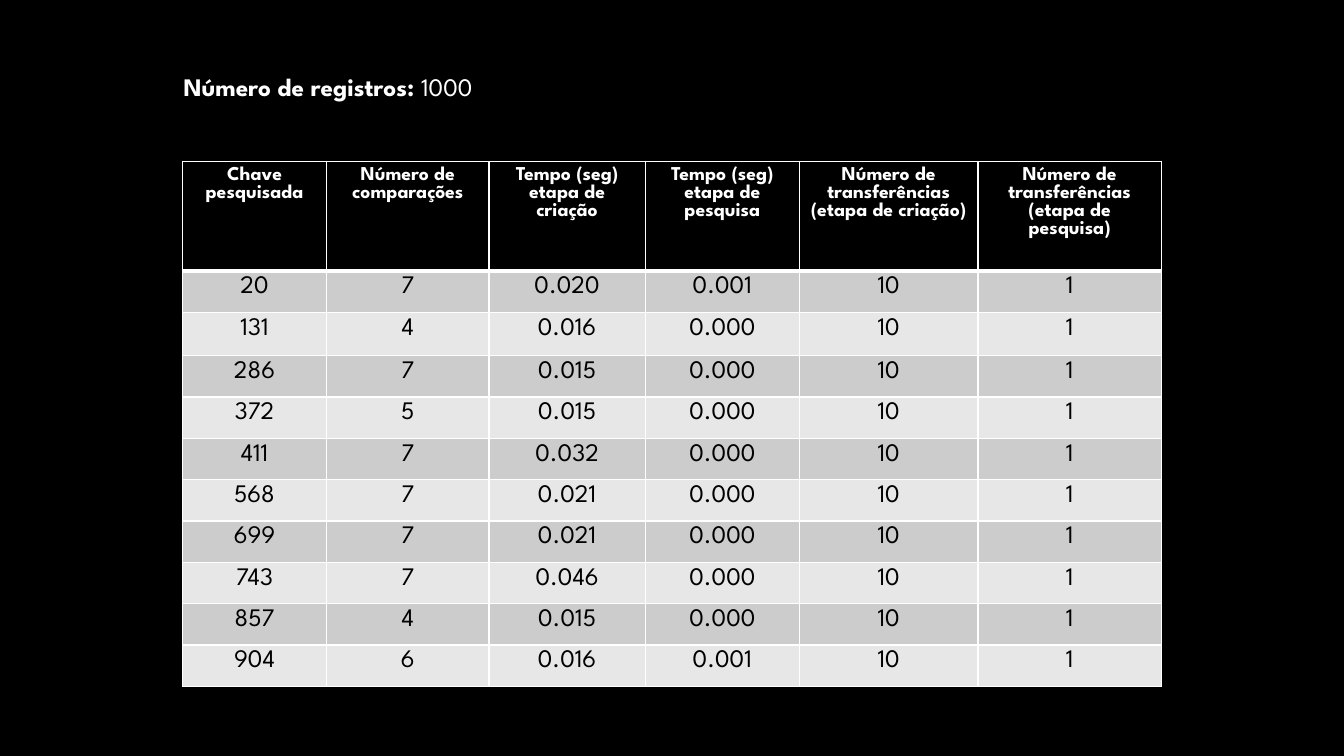
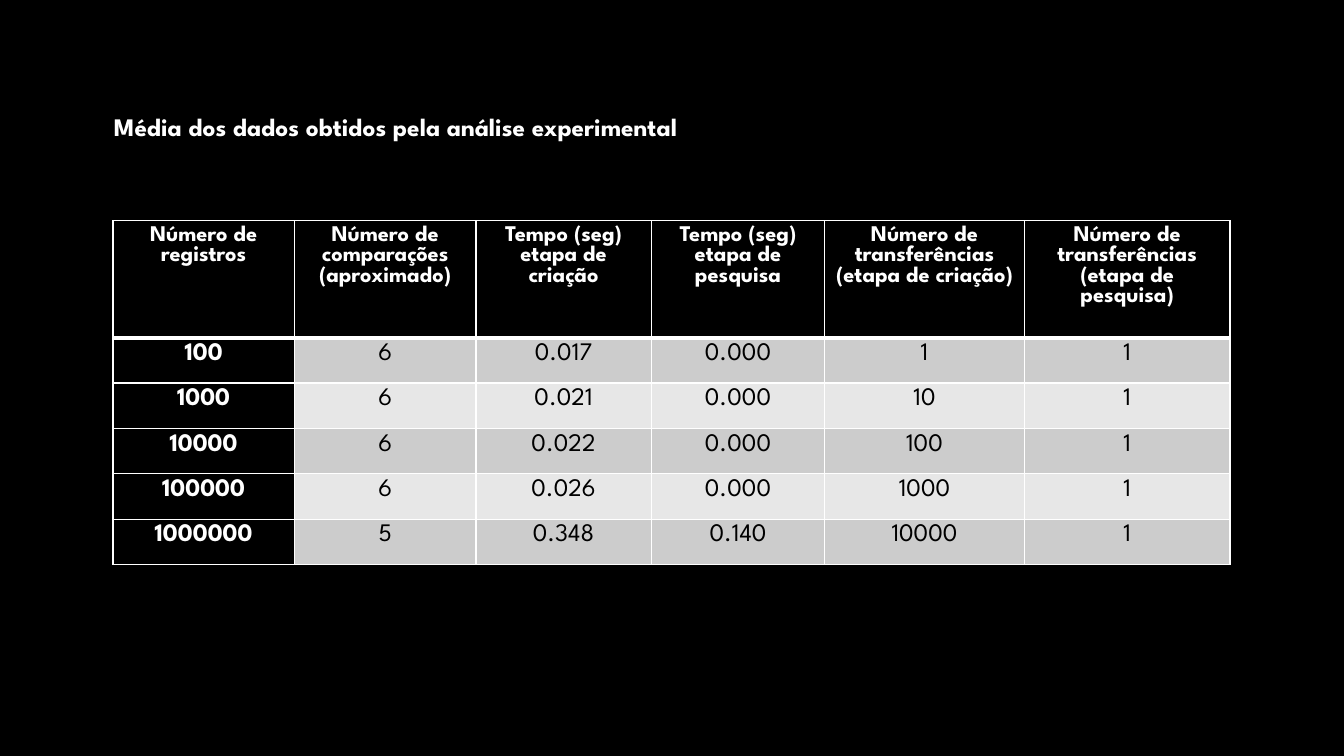
from lxml import etree
from pptx import Presentation
from pptx.dml.color import RGBColor
from pptx.enum.text import MSO_ANCHOR, PP_ALIGN
from pptx.oxml.ns import qn
from pptx.util import Inches, Pt

LEFT, CENTER = PP_ALIGN.LEFT, PP_ALIGN.CENTER
MIDDLE = MSO_ANCHOR.MIDDLE
FONT = "League Spartan"
BLACK, WHITE = "000000", "FFFFFF"
BANDS = ["CCCCCC", "E7E7E7"]
BODY_SIZE = 18


def rgb(value):
    return RGBColor.from_string(value)


def style(r, size, color, bold):
    r.font.name = FONT
    r.font.size = Pt(size)
    r.font.color.rgb = rgb(color)
    r.font.bold = bold


tables = [
    {
        "title": [("Número de registros: ", True), ("1000", False)],
        "title_box": (1.72, 0.66, 3.36, 0.4),
        "left": 1.81,
        "top": 1.6,
        "widths": [1.43, 1.61, 1.55, 1.53, 1.77, 1.82],
        "heights": [1.09, 0.41, 0.43] + [0.41] * 8,
        "header_size": 14,
        "key_column": False,
        "rows": [
            ["Chave pesquisada", "Número de comparações",
             "Tempo (seg) etapa de criação", "Tempo (seg) etapa de pesquisa",
             "Número de transferências (etapa de criação)",
             "Número de transferências (etapa de pesquisa)"],
            ["20", "7", "0.020", "0.001", "10", "1"],
            ["131", "4", "0.016", "0.000", "10", "1"],
            ["286", "7", "0.015", "0.000", "10", "1"],
            ["372", "5", "0.015", "0.000", "10", "1"],
            ["411", "7", "0.032", "0.000", "10", "1"],
            ["568", "7", "0.021", "0.000", "10", "1"],
            ["699", "7", "0.021", "0.000", "10", "1"],
            ["743", "7", "0.046", "0.000", "10", "1"],
            ["857", "4", "0.015", "0.000", "10", "1"],
            ["904", "6", "0.016", "0.001", "10", "1"],
        ],
    },
    {
        "title": [("Média dos dados obtidos pela análise experimental", True)],
        "title_box": (1.03, 1.05, 6.52, 0.4),
        "left": 1.12,
        "top": 2.19,
        "widths": [1.8, 1.8, 1.74, 1.72, 1.98, 2.04],
        "heights": [1.16] + [0.45] * 5,
        "header_size": 16,
        "key_column": True,
        "rows": [
            ["Número de registros", "Número de comparações (aproximado)",
             "Tempo (seg) etapa de criação", "Tempo (seg) etapa de pesquisa",
             "Número de transferências (etapa de criação)",
             "Número de transferências (etapa de pesquisa)"],
            ["100", "6", "0.017", "0.000", "1", "1"],
            ["1000", "6", "0.021", "0.000", "10", "1"],
            ["10000", "6", "0.022", "0.000", "100", "1"],
            ["100000", "6", "0.026", "0.000", "1000", "1"],
            ["1000000", "5", "0.348", "0.140", "10000", "1"],
        ],
    },
]

prs = Presentation()
prs.slide_width = Inches(13.33)
prs.slide_height = Inches(7.5)
fill = prs.slide_master.background.fill
fill.solid()
fill.fore_color.rgb = rgb(BLACK)

for data in tables:
    s = prs.slides.add_slide(prs.slide_layouts[5])

    title = s.shapes.title
    title.left, title.top, title.width, title.height = map(Inches, data["title_box"])
    tf = title.text_frame
    tf.word_wrap = True
    tf.vertical_anchor = MIDDLE
    p = tf.paragraphs[0]
    p.alignment = LEFT
    for text, bold in data["title"]:
        r = p.add_run()
        r.text = text
        style(r, BODY_SIZE, WHITE, bold)

    rows, widths, heights = data["rows"], data["widths"], data["heights"]
    table = s.shapes.add_table(
        len(rows), len(widths), Inches(data["left"]), Inches(data["top"]),
        Inches(sum(widths)), Inches(sum(heights))).table
    table.first_col = data["key_column"]
    for column, width in zip(table.columns, widths):
        column.width = Inches(width)
    for row, height in zip(table.rows, heights):
        row.height = Inches(height)

    for i, values in enumerate(rows):
        for j, value in enumerate(values):
            cell = table.cell(i, j)
            is_header = i == 0
            is_dark = is_header or (data["key_column"] and j == 0)

            tcPr = cell._tc.get_or_add_tcPr()
            for side in "LRTB":
                thick = (i, side) in [(0, "B"), (1, "T")]
                ln = etree.SubElement(tcPr, qn(f"a:ln{side}"), w=str(Pt(3 if thick else 1)))
                line_fill = etree.SubElement(ln, qn("a:solidFill"))
                etree.SubElement(line_fill, qn("a:srgbClr"), val=WHITE)
            cell.fill.solid()
            cell.fill.fore_color.rgb = rgb(BLACK if is_dark else BANDS[(i - 1) % 2])

            p = cell.text_frame.paragraphs[0]
            p.text = value
            p.alignment = CENTER
            style(p.runs[0], data["header_size"] if is_header else BODY_SIZE,
                  WHITE if is_dark else BLACK, is_dark)

prs.save("out.pptx")
